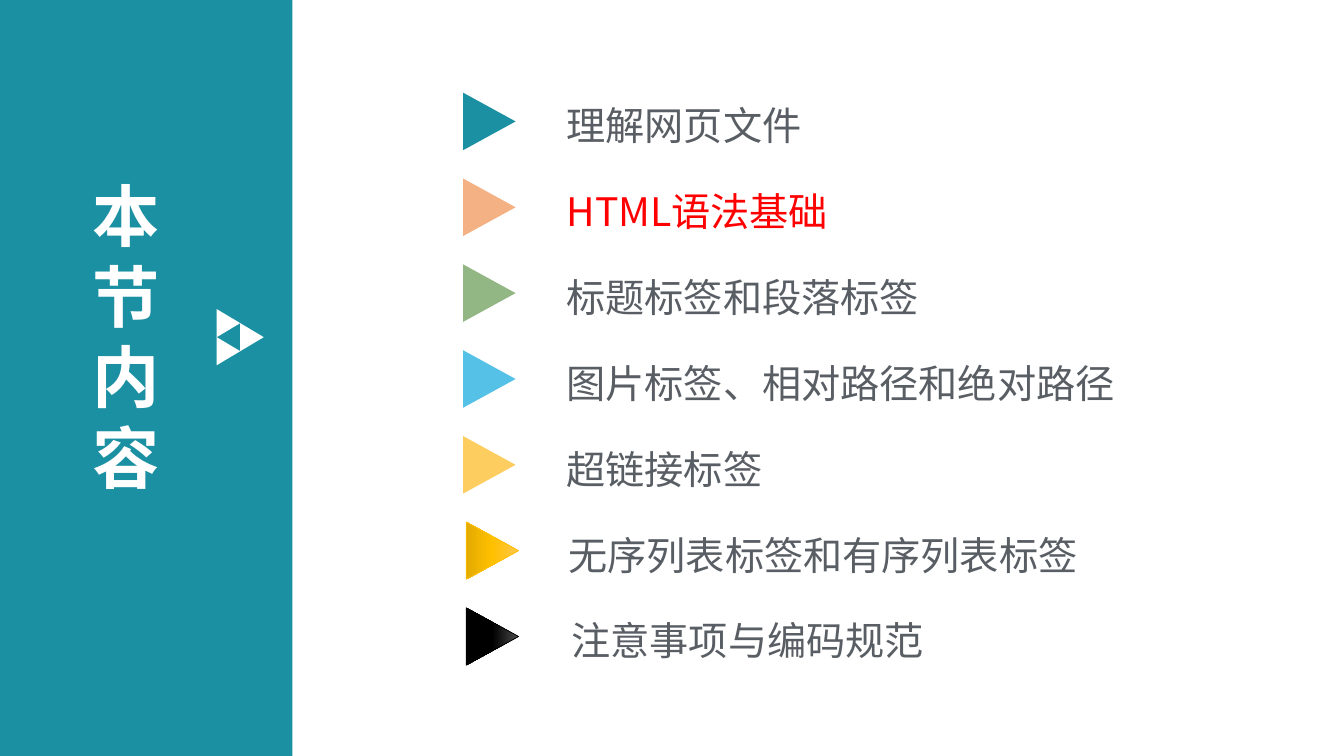
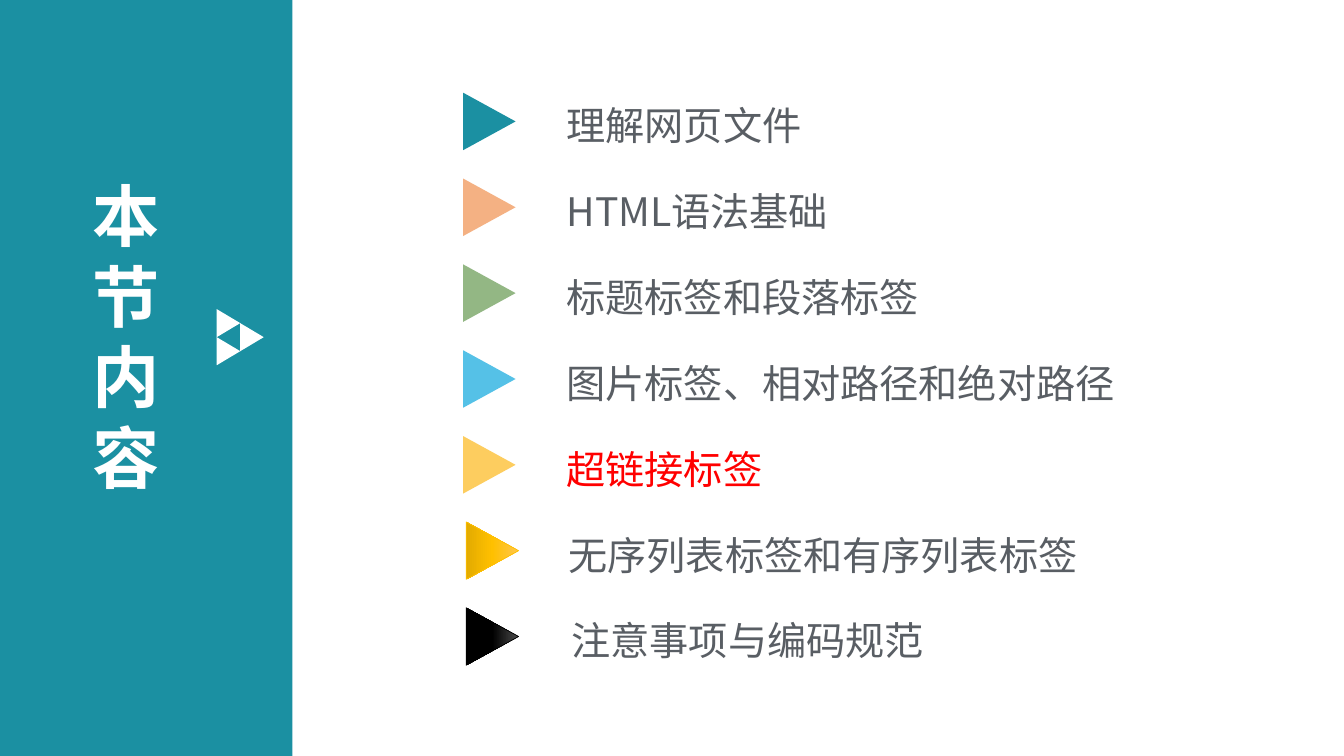
from copy import deepcopy
from dataclasses import dataclass

from lxml import etree
from pptx import Presentation
from pptx.dml.color import RGBColor
from pptx.enum.shapes import MSO_SHAPE
from pptx.enum.text import MSO_ANCHOR, MSO_AUTO_SIZE, PP_ALIGN
from pptx.oxml.ns import qn
from pptx.util import Emu, Inches, Pt

TRIANGLE = MSO_SHAPE.ISOSCELES_TRIANGLE
TOP = MSO_ANCHOR.TOP
LEFT = PP_ALIGN.LEFT
NO_AUTOFIT = MSO_AUTO_SIZE.NONE

GRID_COLUMNS = 160
GRID_ROWS = 90
CELL = Inches(7.5) / GRID_ROWS


@dataclass(frozen=True)
class Theme:
    font: str = "Noto Sans CJK SC"
    teal: str = "1B90A2"
    white: str = "FFFFFF"
    text: str = "595E64"
    highlight: str = "FF0000"
    title_size: float = 48
    title_line: float = 57.6
    item_size: float = 28
    item_line: float = 40


@dataclass(frozen=True)
class Topic:
    text: str
    colors: tuple
    outline: str = ""
    marker_shift: float = 0
    text_shift: float = 0


TOPICS = (
    Topic("理解网页文件", (Theme.teal,)),
    Topic("HTML语法基础", ("F4B183",)),
    Topic("标题标签和段落标签", ("93B784",)),
    Topic("图片标签、相对路径和绝对路径", ("55C1E7",)),
    Topic("超链接标签", ("FDCD5F",)),
    Topic("无序列表标签和有序列表标签", ("FFC64B", "FFC000", "E3AB00"), "FFC000", 0.36, 0.24),
    Topic("注意事项与编码规范", ("4B4B4B", "000000", "000000"), "000000", 0.36, 0.6),
)

BAND_COLUMNS = 34.8
LIST_TOP = 11.04
LIST_PITCH = 10.22
LIST_LEFT = 67.44
MARKER_LEFT = 55.14
MARKER_WIDTH = 6.24
MARKER_HEIGHT = 6.84
ICON_LEFT = 25.8
ICON_TOP = 36.8
ICON_WIDTH = 2.8
ICON_HEIGHT = 3.34


def grid(cells):
    return Emu(round(cells * CELL))


def color(value):
    return RGBColor.from_string(value)


class Deck:
    def __init__(self, theme):
        self.theme = theme
        self.presentation = Presentation()
        self.presentation.slide_width = grid(GRID_COLUMNS)
        self.presentation.slide_height = grid(GRID_ROWS)
        self.slide = None

    def add_slide(self):
        layout = self.presentation.slide_layouts[1]
        self.slide = self.presentation.slides.add_slide(layout)

    def place(self, shape, left, top, width, height):
        shape.left, shape.top = grid(left), grid(top)
        shape.width, shape.height = grid(width), grid(height)

    def prepare_frame(self, shape, left=0, top=0, right=0):
        frame = shape.text_frame
        frame.word_wrap = True
        frame.auto_size = NO_AUTOFIT
        frame.vertical_anchor = TOP
        frame.margin_left, frame.margin_top = grid(left), grid(top)
        frame.margin_right, frame.margin_bottom = grid(right), 0
        return frame

    def format_paragraph(self, paragraph, size, line, ink, bold=False):
        paragraph.alignment = LEFT
        paragraph.line_spacing = Pt(line)
        paragraph.space_before = Pt(0)
        font = paragraph.font
        font.name, font.size, font.bold = self.theme.font, Pt(size), bold
        font.color.rgb = color(ink)
        latin = font._element.find(qn("a:latin"))
        east_asian = etree.Element(qn("a:ea"), typeface=self.theme.font)
        latin.addnext(east_asian)

    def title_band(self, text):
        title = self.slide.shapes.title
        self.place(title, 0, 0, BAND_COLUMNS, GRID_ROWS)
        title.fill.solid()
        title.fill.fore_color.rgb = color(self.theme.teal)
        frame = self.prepare_frame(title, 11.04, 20.76, 15.36)
        frame.text = text
        self.format_paragraph(
            frame.paragraphs[0], self.theme.title_size, self.theme.title_line,
            self.theme.white, True)

    def triangle(self, left, top, width, height, colors, outline=""):
        shape = self.slide.shapes.add_shape(TRIANGLE, 0, 0, 0, 0)
        inset = (width - height) / 2
        self.place(shape, left + inset, top - inset, height, width)
        shape.rotation = 90
        shape.shadow.inherit = False
        if len(colors) == 1:
            shape.fill.solid()
            shape.fill.fore_color.rgb = color(colors[0])
        else:
            self.gradient(shape, colors)
        if outline:
            shape.line.color.rgb = color(outline)
            shape.line.width = Pt(0.5)
        else:
            shape.line.fill.background()

    def gradient(self, shape, colors):
        shape.fill.gradient()
        shape.fill.gradient_angle = 270
        stop_list = shape._element.spPr.find(".//" + qn("a:gsLst"))
        while len(stop_list) < len(colors):
            stop_list.append(deepcopy(stop_list[0]))
        for index, stop in enumerate(shape.fill.gradient_stops):
            stop.position = index / (len(colors) - 1)
            stop.color.rgb = color(colors[index])

    def icon(self):
        for column, row in ((0, 0), (0, 1), (1, 0.5)):
            self.triangle(
                ICON_LEFT + column * ICON_WIDTH, ICON_TOP + row * ICON_HEIGHT,
                ICON_WIDTH, ICON_HEIGHT, (self.theme.white,))

    def topic_list(self, topics, current):
        body = self.slide.placeholders[1]
        self.place(body, LIST_LEFT, LIST_TOP, 84, len(topics) * LIST_PITCH)
        frame = self.prepare_frame(body)
        frame.text = "\n".join(topic.text for topic in topics)
        gap = grid(LIST_PITCH).pt - self.theme.item_line
        for index, (topic, paragraph) in enumerate(zip(topics, frame.paragraphs)):
            ink = self.theme.highlight if index == current else self.theme.text
            self.format_paragraph(
                paragraph, self.theme.item_size, self.theme.item_line, ink)
            paragraph.space_after = Pt(gap)
            self.remove_bullet(paragraph, topic.text_shift)
            self.triangle(
                MARKER_LEFT + topic.marker_shift, LIST_TOP + index * LIST_PITCH,
                MARKER_WIDTH, MARKER_HEIGHT, topic.colors, topic.outline)

    def remove_bullet(self, paragraph, indent):
        properties = paragraph._p.pPr
        properties.set("marL", str(grid(indent)))
        properties.set("indent", "0")
        properties.find(qn("a:defRPr")).addprevious(etree.Element(qn("a:buNone")))


def main():
    deck = Deck(Theme())
    for current in (1, 4):
        deck.add_slide()
        deck.title_band("本节内容")
        deck.icon()
        deck.topic_list(TOPICS, current)
    deck.presentation.save("out.pptx")


if __name__ == "__main__":
    main()
